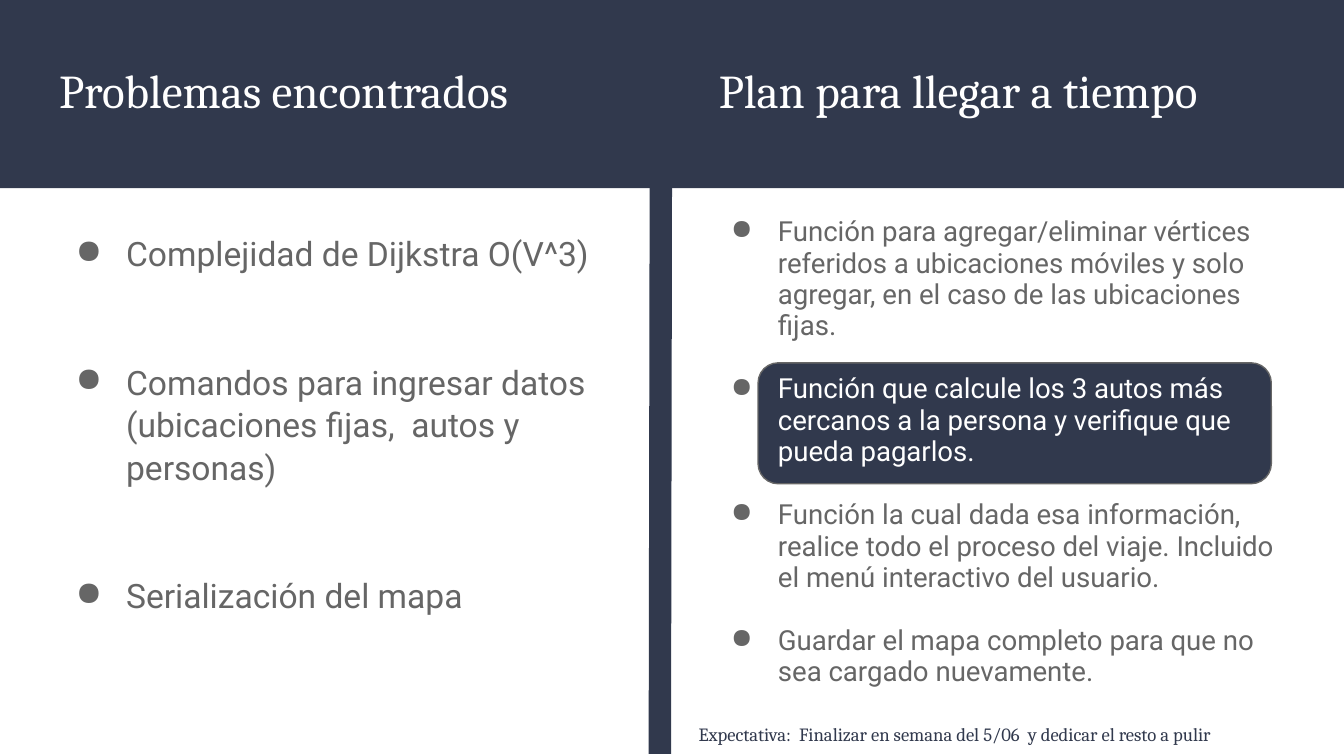
"""Build the slide on problems found and the plan to finish on time."""
from dataclasses import dataclass

from lxml.etree import SubElement as Sub
from pptx import Presentation
from pptx.dml.color import RGBColor as Rgb
from pptx.enum.shapes import MSO_CONNECTOR as Link, MSO_SHAPE as Kind
from pptx.enum.text import MSO_ANCHOR as Anchor, MSO_AUTO_SIZE as Fit, PP_ALIGN as Align
from pptx.oxml.ns import qn
from pptx.util import Pt

NAVY, GRAY, WHITE = "31394D", "666666", "FFFFFF"


@dataclass
class Box:
    left: float
    top: float
    width: float
    height: float

    def args(self) -> list:
        return [Pt(v) for v in (self.left, self.top, self.width, self.height)]


@dataclass
class Head:
    text: str
    box: Box
    size: float = 25.2
    color: str = WHITE


@dataclass
class Item:
    text: str
    color: str = GRAY


@dataclass
class Group:
    box: Box
    items: list[Item]
    size: float
    lead: float
    gap: float
    hang: float


HEADS = [
    Head("Problemas encontrados", Box(24.5, 23.8, 335.5, 49)),
    Head("Plan para llegar a tiempo", Box(378, 23.8, 335.5, 49)),
    Head("Expectativa:  Finalizar en semana del 5/06  y dedicar el resto a pulir",
         Box(367.2, 379.5, 356.4, 27.4), 10, NAVY),
]
GROUPS = [
    Group(Box(24.5, 116.6, 305.3, 224.6), [
        Item("Complejidad de Dijkstra O(V^3)"),
        Item("Comandos para ingresar datos (ubicaciones fijas,  autos y personas)"),
        Item("Serialización del mapa"),
    ], 18, 1.05, 46.3, 27),
    Group(Box(373.7, 108.7, 329.8, 282.2), [
        Item("Función para agregar/eliminar vértices referidos a ubicaciones móviles "
             "y solo agregar, en el caso de las ubicaciones fijas."),
        Item("Función que calcule los 3 autos más cercanos a la persona y verifique "
             "que pueda pagarlos.", WHITE),
        Item("Función la cual dada esa información, realice todo el proceso del viaje. "
             "Incluido el menú interactivo del usuario."),
        Item("Guardar el mapa completo para que no sea cargado nuevamente."),
    ], 14.8, 0.95, 16.8, 25.2),
]


def tint(code: str) -> Rgb:
    """Turn a hex string into a colour."""
    return Rgb.from_string(code)


def block(slide, kind: Kind, box: Box, edge: str = ""):
    """Draw a navy shape, with a thin edge if one is given."""
    shape = slide.shapes.add_shape(kind, *box.args())
    shape.shadow.inherit = False
    shape.fill.solid()
    shape.fill.fore_color.rgb = tint(NAVY)
    if edge:
        shape.line.color.rgb = tint(edge)
        shape.line.width = Pt(0.75)
    else:
        shape.line.fill.background()
    return shape


def frame(shape, box: Box, anchor: Anchor):
    """Place a text shape and return its set-up frame."""
    shape.left, shape.top, shape.width, shape.height = box.args()
    text = shape.text_frame
    text.word_wrap, text.auto_size = True, Fit.NONE
    text.vertical_anchor = anchor
    text.margin_left = text.margin_right = Pt(7.2)
    text.margin_top = text.margin_bottom = Pt(7.2)
    return text


def style(para, face: str, size: float, color: str) -> None:
    """Format the runs of a paragraph."""
    para.alignment = Align.LEFT
    for run in para.runs:
        run.font.name, run.font.size = face, Pt(size)
        run.font.color.rgb = tint(color)


def title(shape, head: Head) -> None:
    """Fill a shape with a heading."""
    text = frame(shape, head.box, Anchor.MIDDLE)
    text.text = head.text
    style(text.paragraphs[0], "Cambria", head.size, head.color)


def bullet(para, hang: float) -> None:
    """Give a paragraph a gray hanging bullet."""
    prop = para._p.get_or_add_pPr()
    prop.set("marL", str(Pt(36)))
    prop.set("indent", str(-Pt(hang)))
    Sub(Sub(prop, qn("a:buClr")), qn("a:srgbClr")).set("val", GRAY)
    Sub(prop, qn("a:buChar")).set("char", "●")


def points(slide, group: Group) -> None:
    """Write a bulleted group in a text box."""
    shape = slide.shapes.add_textbox(*group.box.args())
    text = frame(shape, group.box, Anchor.TOP)
    text.text = "\n".join(item.text for item in group.items)
    for rank, (para, item) in enumerate(zip(text.paragraphs, group.items)):
        style(para, "Roboto", group.size, item.color)
        para.line_spacing = group.lead
        para.space_before = Pt(group.gap if rank else 0)
        bullet(para, group.hang)


def split(slide) -> None:
    """Draw the line between the two columns."""
    line = slide.shapes.add_connector(Link.STRAIGHT, Pt(354.2), Pt(0.7), Pt(353.5), Pt(403.9))
    line.line.color.rgb = tint(NAVY)
    line.line.width = Pt(12)
    Sub(line._element.spPr, qn("a:effectLst"))


def main() -> None:
    """Build and save the deck."""
    deck = Presentation()
    deck.slide_width, deck.slide_height = Pt(720), Pt(405)
    slide = deck.slides.add_slide(deck.slide_layouts[5])
    main_head, *rest = HEADS
    top = slide.shapes.title
    title(top, main_head)
    band = block(slide, Kind.RECTANGLE, Box(0, 0, 720, 100.8))
    top._element.addprevious(band._element)
    block(slide, Kind.ROUNDED_RECTANGLE, Box(406.1, 194.4, 275, 64.8), GRAY)
    split(slide)
    for group in GROUPS:
        points(slide, group)
    for head in rest:
        title(slide.shapes.add_textbox(*head.box.args()), head)
    deck.save("out.pptx")


if __name__ == "__main__":
    main()
